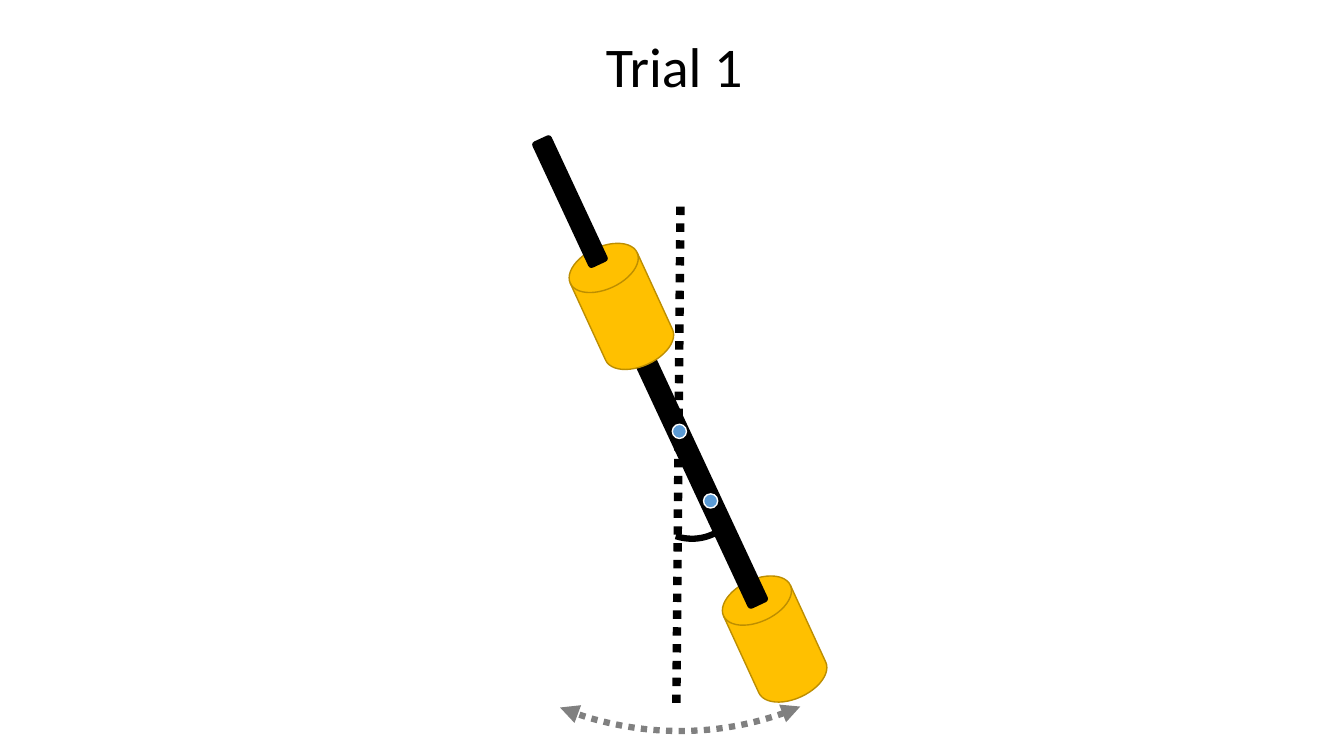
from dataclasses import dataclass

import lxml.etree
import pptx
import pptx.dml.color
import pptx.enum.dml
import pptx.enum.shapes
import pptx.enum.text
import pptx.oxml.ns
import pptx.util

SHAPE = pptx.enum.shapes.MSO_SHAPE
DOTTED = pptx.enum.dml.MSO_LINE.ROUND_DOT


@dataclass(frozen=True)
class Theme:
    font: str = "Calibri"
    title_size: int = 40
    ink: str = "000000"
    bob: str = "FFC000"
    bob_edge: str = "BD8E00"
    pin: str = "5B9BD5"
    pin_edge: str = "FFFFFF"
    swing: str = "808080"


THEME = Theme()

# The grid has ten columns and ten rows to the inch
COLUMNS, ROWS = 133.33, 75
TILT = 335
BOB_TILT = 335.3


def grid(cells):
    return pptx.util.Inches(cells / 10)


def color(value):
    return pptx.dml.color.RGBColor.from_string(value)


def draw_line(line, stroke, width, dash=None, arrows=False):
    line.color.rgb = color(stroke)
    line.width = pptx.util.Pt(width)
    if dash is not None:
        line.dash_style = dash
    if arrows:
        outline = line.fill._xPr
        for end in ("a:headEnd", "a:tailEnd"):
            lxml.etree.SubElement(outline, pptx.oxml.ns.qn(end), type="triangle")


def add_part(shapes, preset, left, top, width, height, rotation=0,
             fill=None, stroke=None, line_width=1, dash=None, arrows=False):
    part = shapes.add_shape(preset, grid(left), grid(top), grid(width), grid(height))
    part.shadow.inherit = False
    part.rotation = rotation
    if fill:
        part.fill.solid()
        part.fill.fore_color.rgb = color(fill)
    else:
        part.fill.background()
    if stroke:
        draw_line(part.line, stroke, line_width, dash, arrows)
    else:
        part.line.fill.background()
    return part


def add_arc(shapes, left, top, width, height, rotation, start, end, **stroke):
    """Draw an arc between two angles given in degrees."""
    arc = add_part(shapes, SHAPE.ARC, left, top, width, height, rotation, **stroke)
    # Angles are stored in 60000ths of a degree, adjustments in 100000ths
    arc.adjustments[0] = start * 0.6
    arc.adjustments[1] = end * 0.6


def add_vertical(shapes, start, end):
    vertical = shapes.add_connector(
        pptx.enum.shapes.MSO_CONNECTOR.STRAIGHT, *map(grid, start + end))
    draw_line(vertical.line, THEME.ink, 6, DOTTED)
    lxml.etree.SubElement(vertical._element.spPr, pptx.oxml.ns.qn("a:effectLst"))


def write_text(box, text, size, font, ink):
    frame = box.text_frame
    frame.word_wrap = True
    frame.auto_size = pptx.enum.text.MSO_AUTO_SIZE.SHAPE_TO_FIT_TEXT
    frame.vertical_anchor = pptx.enum.text.MSO_ANCHOR.TOP
    para = frame.paragraphs[0]
    para.alignment = pptx.enum.text.PP_ALIGN.LEFT
    span = para.add_run()
    span.text = text
    span.font.size = pptx.util.Pt(size)
    span.font.name = font
    span.font.color.rgb = color(ink)


def add_title(page, text, left, top, width, height):
    title = page.shapes.title
    title.left, title.top = grid(left), grid(top)
    title.width, title.height = grid(width), grid(height)
    write_text(title, text, size=THEME.title_size, font=THEME.font, ink=THEME.ink)


def add_pendulum(page):
    parts = page.shapes.add_group_shape().shapes
    # Each bob lies behind the rod that rises from it
    for bob, rod in (((73.2, 57.1), (67.2, 28.4, 2.2, 33.2)),
                     ((58, 24.1), (55.5, 13.1, 2.1, 13.8))):
        add_part(parts, SHAPE.FLOWCHART_MAGNETIC_DISK, *bob, 7.3, 12.6, BOB_TILT,
                 fill=THEME.bob, stroke=THEME.bob_edge)
        add_part(parts, SHAPE.ROUNDED_RECTANGLE, *rod, TILT, fill=THEME.ink)
    # Pins on the rod
    for left, top in ((69.8, 49), (66.7, 42.1)):
        add_part(parts, SHAPE.OVAL, left, top, 1.4, 1.4, 1,
                 fill=THEME.pin, stroke=THEME.pin_edge)


def main():
    deck = pptx.Presentation()
    deck.slide_width, deck.slide_height = grid(COLUMNS), grid(ROWS)
    page = deck.slides.add_slide(deck.slide_layouts.get_by_name("Title Only"))

    # Title and resting position
    add_title(page, "Trial 1", 59.1, 2.6, 16.9, 7.7)
    add_vertical(page.shapes, (67.5, 20.5), (67.1, 69.9))

    add_pendulum(page)

    # Range of the swing, then the angle from the vertical
    add_arc(page.shapes, 35.9, 10.1, 60.6, 63.1, 132.3, 292.84, 338.16,
            stroke=THEME.swing, line_width=4.5, dash=DOTTED, arrows=True)
    add_arc(page.shapes, 62.4, 42.1, 11.9, 10.9, 70.7, 341.35, 32.47,
            stroke=THEME.ink, line_width=4.5)

    deck.save("out.pptx")


if __name__ == "__main__":
    main()
